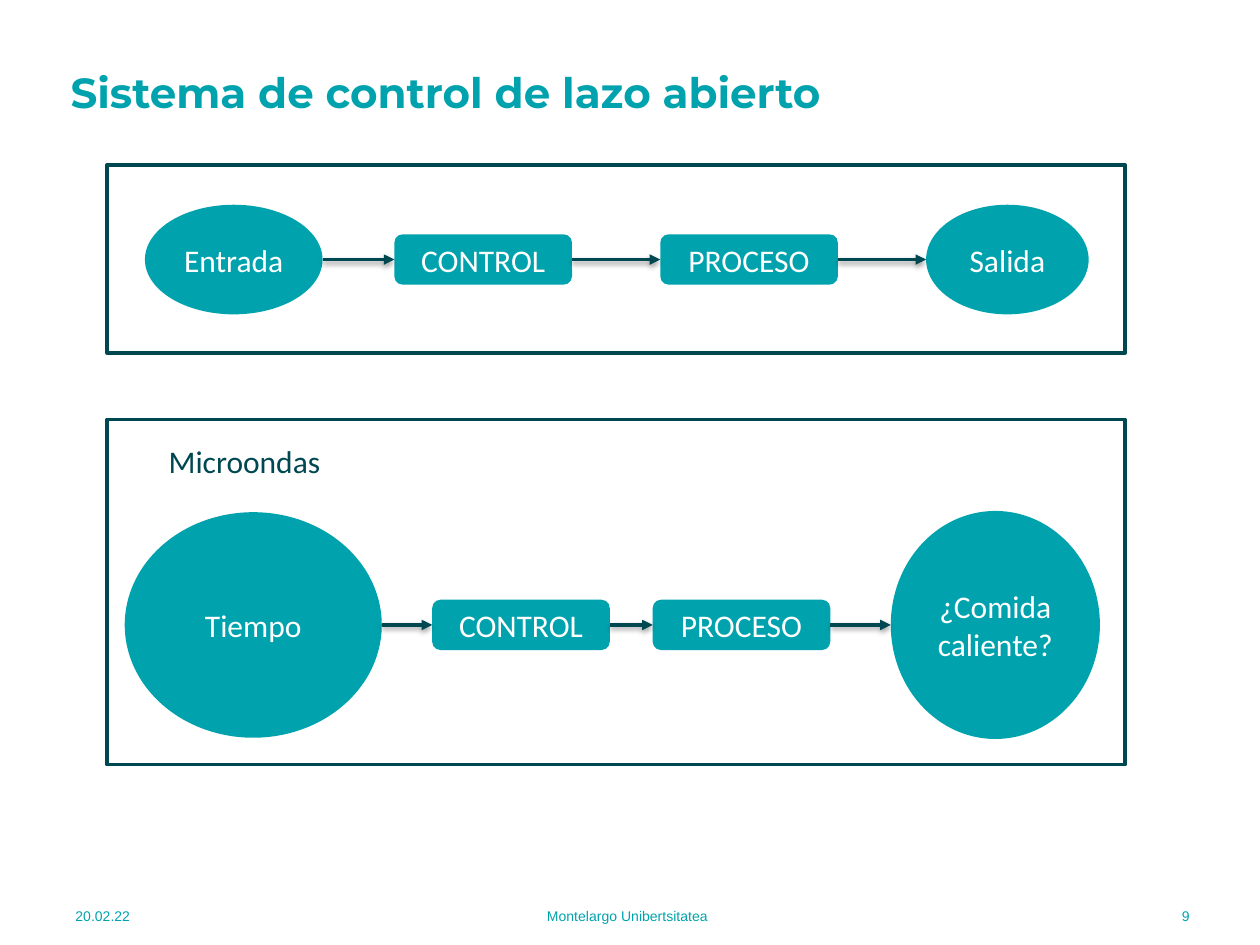
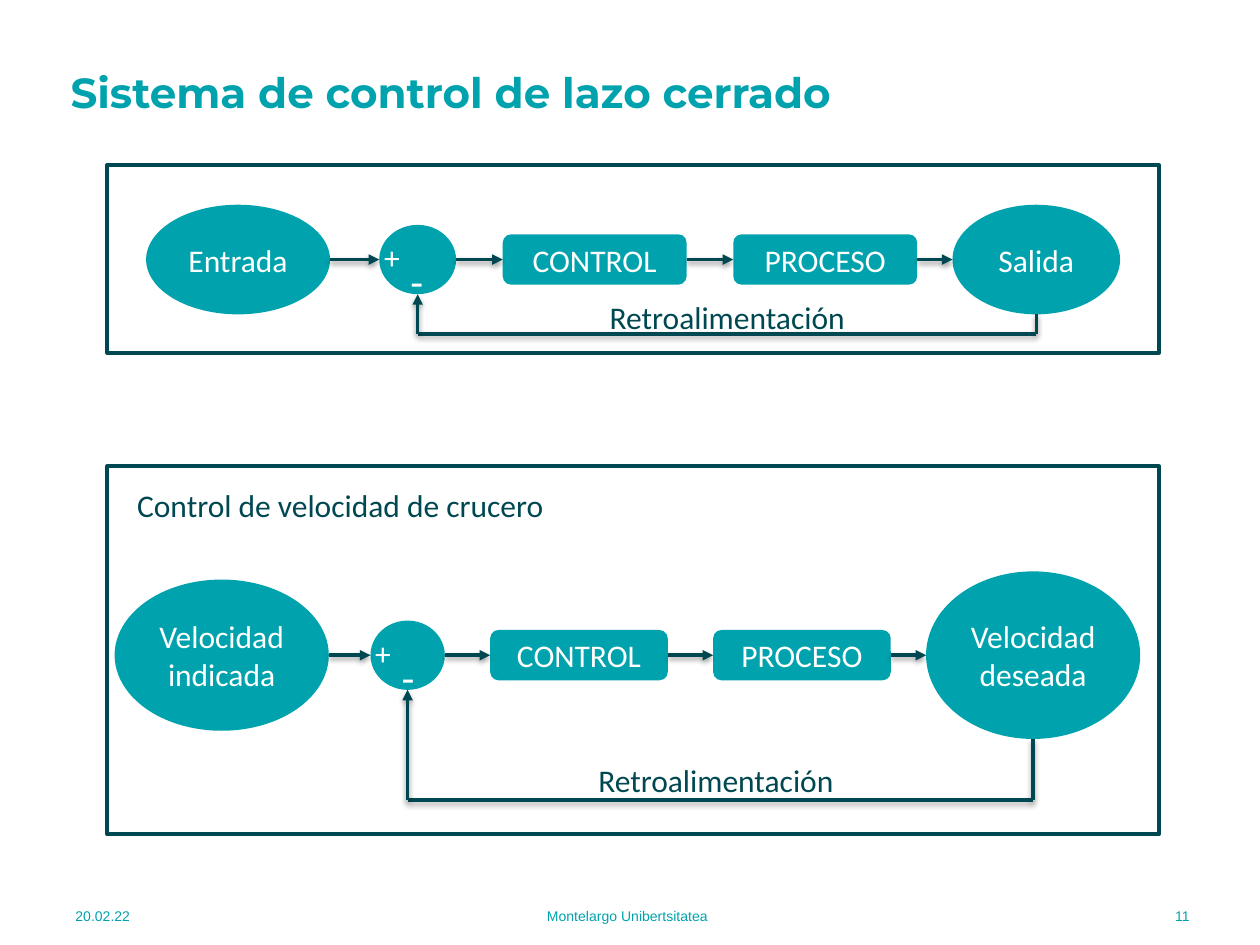
from dataclasses import dataclass

from lxml import etree
from pptx import Presentation
from pptx.dml.color import RGBColor
from pptx.enum import shapes, text
from pptx.oxml import ns
from pptx.util import Inches, Pt

ELLIPSE = shapes.MSO_SHAPE.OVAL
BLOCK = shapes.MSO_SHAPE.ROUNDED_RECTANGLE
FRAME = shapes.MSO_SHAPE.RECTANGLE
LEFT, CENTER, RIGHT = text.PP_ALIGN.LEFT, text.PP_ALIGN.CENTER, text.PP_ALIGN.RIGHT
TOP, MIDDLE = text.MSO_ANCHOR.TOP, text.MSO_ANCHOR.MIDDLE


@dataclass(frozen=True)
class Theme:
    teal: str = "00A3AD"
    dark: str = "004851"
    white: str = "FFFFFF"
    title_font: str = "Montserrat"
    body_font: str = "Calibri"
    footer_font: str = "Arial"
    title_size: int = 24
    body_size: int = 18
    minus_size: int = 24
    footer_size: int = 8
    line_width: int = 2


THEME = Theme()
TITLE_BOX = (0.46, 0.52, 8.38, 0.47)
FOOTER_TOP, FOOTER_HEIGHT = 7.07, 0.4
FRAME_LEFT = 0.85
BLOCK_HEIGHT = 0.4
SUM = "+-"  # node that compares the input with the feedback

# frame: top, height; nodes: label, outline, left, width, height
# caption: label, left, top; feedback: label, left, top, height of the return line
SLIDES = [
    {
        "title": "Sistema de control de lazo abierto",
        "number": "9",
        "frame_width": 8.08,
        "diagrams": [
            {
                "frame": (1.31, 1.49),
                "axis": 2.06,
                "nodes": [
                    ("Entrada", ELLIPSE, 1.15, 1.41, 0.87),
                    ("CONTROL", BLOCK, 3.13, 1.41, BLOCK_HEIGHT),
                    ("PROCESO", BLOCK, 5.24, 1.41, BLOCK_HEIGHT),
                    ("Salida", ELLIPSE, 7.35, 1.29, 0.87),
                ],
            },
            {
                "frame": (3.33, 2.74),
                "axis": 4.96,
                "caption": ("Microondas", 1.24, 3.46),
                "nodes": [
                    ("Tiempo", ELLIPSE, 0.99, 2.04, 1.79),
                    ("CONTROL", BLOCK, 3.43, 1.41, BLOCK_HEIGHT),
                    ("PROCESO", BLOCK, 5.18, 1.41, BLOCK_HEIGHT),
                    ("¿Comida caliente?", ELLIPSE, 7.07, 1.66, 1.81),
                ],
            },
        ],
    },
    {
        "title": "Sistema de control de lazo cerrado",
        "number": "11",
        "frame_width": 8.35,
        "diagrams": [
            {
                "frame": (1.31, 1.49),
                "axis": 2.06,
                "nodes": [
                    ("Entrada", ELLIPSE, 1.16, 1.46, 0.87),
                    (SUM, ELLIPSE, 3.01, 0.61, 0.55),
                    ("CONTROL", BLOCK, 3.99, 1.46, BLOCK_HEIGHT),
                    ("PROCESO", BLOCK, 5.82, 1.46, BLOCK_HEIGHT),
                    ("Salida", ELLIPSE, 7.56, 1.33, 0.87),
                ],
                "feedback": ("Retroalimentación", 4.74, 2.32, 2.65),
            },
            {
                "frame": (3.7, 2.92),
                "axis": 5.2,
                "caption": ("Control de velocidad de crucero", 0.99, 3.81),
                "nodes": [
                    ("Velocidad indicada", ELLIPSE, 0.91, 1.7, 1.2),
                    (SUM, ELLIPSE, 2.94, 0.59, 0.55),
                    ("CONTROL", BLOCK, 3.89, 1.41, BLOCK_HEIGHT),
                    ("PROCESO", BLOCK, 5.66, 1.41, BLOCK_HEIGHT),
                    ("Velocidad deseada", ELLIPSE, 7.35, 1.7, 1.33),
                ],
                "feedback": ("Retroalimentación", 4.65, 5.99, 6.35),
            },
        ],
    },
]


def footers(number):
    """Label, left, width and alignment of each footer part."""
    return [
        ("20.02.22", 0.5, 1.29, LEFT),
        ("Montelargo Unibertsitatea", 2.37, 5.22, CENTER),
        (number, 8.26, 1.28, RIGHT),
    ]


def rgb(code):
    return RGBColor.from_string(code)


def write(shape, words, *, size=THEME.body_size, font=THEME.body_font, color=THEME.dark,
          bold=False, align=LEFT, anchor=TOP, spacing=None):
    frame = shape.text_frame
    frame.word_wrap = True
    frame.auto_size = text.MSO_AUTO_SIZE.NONE
    frame.vertical_anchor = anchor
    paragraph = frame.paragraphs[0]
    paragraph.alignment = align
    if spacing:
        paragraph.line_spacing = spacing
    run = paragraph.add_run()
    run.text = words
    run.font.size, run.font.name, run.font.bold = Pt(size), font, bold
    run.font.color.rgb = rgb(color)


def add_label(parent, words, box, **style):
    write(parent.shapes.add_textbox(*map(Inches, box)), words, **style)


def add_outline(parent, kind, box, fill, line=None):
    shape = parent.shapes.add_shape(kind, *map(Inches, box))
    shape.shadow.inherit = False
    shape.fill.solid()
    shape.fill.fore_color.rgb = rgb(fill)
    if line:
        shape.line.color.rgb = rgb(line)
        shape.line.width = Pt(THEME.line_width)
    else:
        shape.line.fill.background()
    return shape


def add_line(parent, start, end, arrow=True):
    line = parent.shapes.add_connector(shapes.MSO_CONNECTOR.STRAIGHT, *map(Inches, start + end))
    line.line.color.rgb = rgb(THEME.dark)
    line.line.width = Pt(THEME.line_width)
    if arrow:
        etree.SubElement(line.line._get_or_add_ln(), ns.qn("a:tailEnd"), type="triangle")
    effects = etree.SubElement(line._element.spPr, ns.qn("a:effectLst"))
    shadow = etree.SubElement(effects, ns.qn("a:outerShdw"), blurRad="40000", dist="20000",
                              dir="5400000", rotWithShape="0")
    black = etree.SubElement(shadow, ns.qn("a:srgbClr"), val="000000")
    etree.SubElement(black, ns.qn("a:alpha"), val="38000")
    return line


def add_node(group, node, axis):
    label, kind, left, width, height = node
    shape = add_outline(group, kind, (left, axis - height / 2, width, height), THEME.teal)
    if label == SUM:
        plus, minus = SUM
        add_label(group, plus, (left - 0.06, axis - 0.22, 0.3, 0.4), color=THEME.white)
        add_label(group, minus, (left + 0.15, axis - 0.08, 0.3, 0.5),
                  size=THEME.minus_size, color=THEME.white)
    else:
        write(shape, label, color=THEME.white, align=CENTER, anchor=MIDDLE)
    return shape


def add_chain(group, nodes, axis):
    """Draw the nodes along the axis, with an arrow from each to the next."""
    drawn = [add_node(group, node, axis) for node in nodes]
    for i, (source, target) in enumerate(zip(nodes, nodes[1:])):
        arrow = add_line(group, (source[2] + source[3], axis), (target[2], axis))
        if source[1] == BLOCK:
            arrow.begin_connect(drawn[i], 3)
        if target[1] == BLOCK:
            arrow.end_connect(drawn[i + 1], 1)


def add_feedback(group, nodes, axis, label, left, top, return_y):
    def bottom(node):
        return node[2] + node[3] / 2, axis + node[4] / 2

    output = bottom(nodes[-1])
    comparison = bottom(next(node for node in nodes if node[0] == SUM))
    points = [output, (output[0], return_y), (comparison[0], return_y), comparison]
    for start, end in zip(points, points[1:]):
        add_line(group, start, end, arrow=end == comparison)
    add_label(group, label, (left, top, 2.16, 0.4))


def add_diagram(slide, diagram, frame_width):
    group = slide.shapes.add_group_shape()
    top, height = diagram["frame"]
    nodes, axis = diagram["nodes"], diagram["axis"]
    add_outline(group, FRAME, (FRAME_LEFT, top, frame_width, height), THEME.white, THEME.dark)
    if "caption" in diagram:
        label, left, label_top = diagram["caption"]
        add_label(group, label, (left, label_top, 3.74, 0.4))
    add_chain(group, nodes, axis)
    if "feedback" in diagram:
        add_feedback(group, nodes, axis, *diagram["feedback"])


def add_slide(deck, content):
    slide = deck.slides.add_slide(deck.slide_layouts[5])
    title = slide.shapes.title
    title.left, title.top, title.width, title.height = map(Inches, TITLE_BOX)
    write(title, content["title"], size=THEME.title_size, font=THEME.title_font,
          color=THEME.teal, bold=True, anchor=MIDDLE, spacing=0.9)
    for label, left, width, align in footers(content["number"]):
        add_label(slide, label, (left, FOOTER_TOP, width, FOOTER_HEIGHT), size=THEME.footer_size,
                  font=THEME.footer_font, color=THEME.teal, align=align, anchor=MIDDLE)
    for diagram in content["diagrams"]:
        add_diagram(slide, diagram, content["frame_width"])


def main():
    deck = Presentation()
    deck.slide_width, deck.slide_height = Inches(10), Inches(7.5)
    for content in SLIDES:
        add_slide(deck, content)
    deck.save("out.pptx")


if __name__ == "__main__":
    main()
